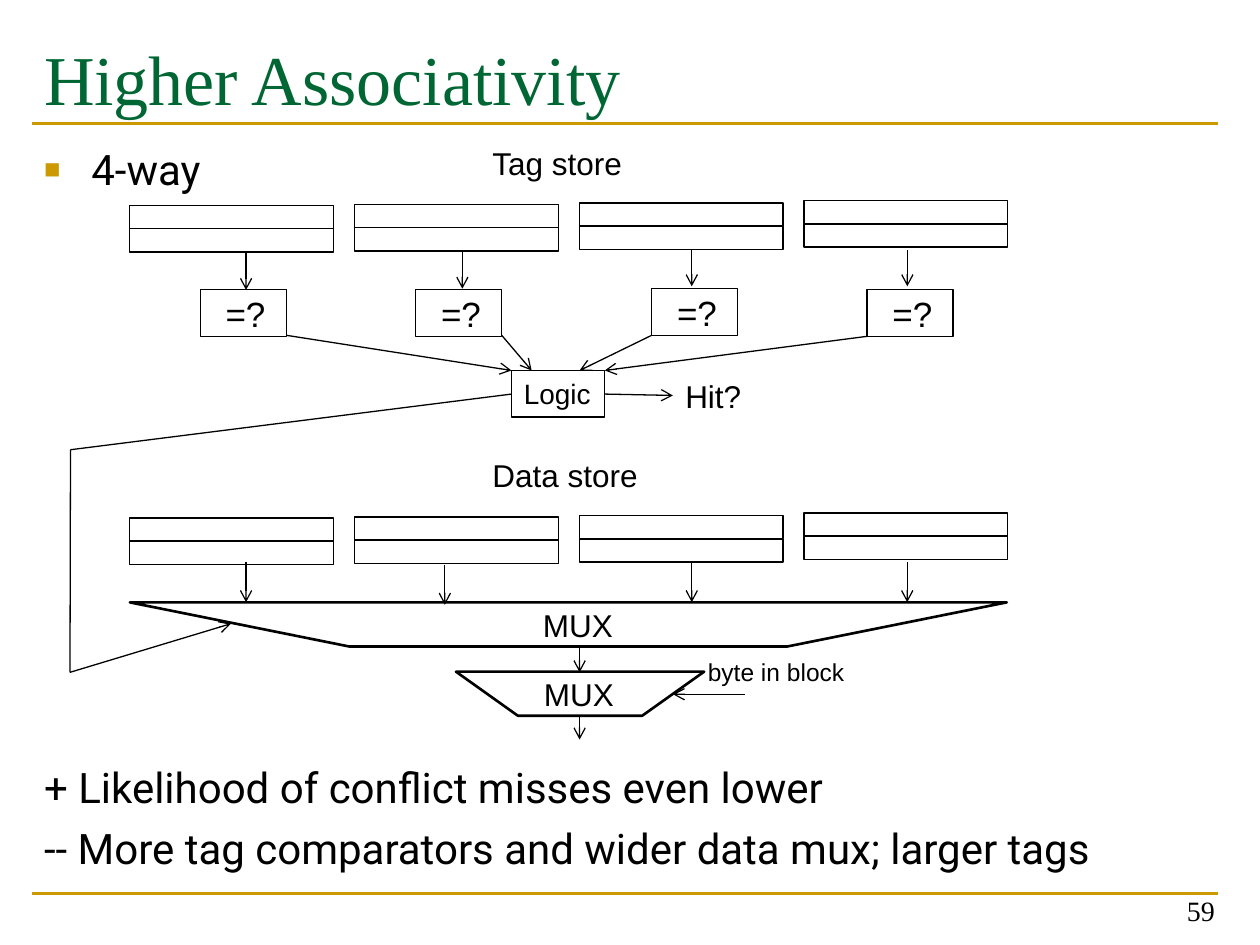
import pptx
import pptx.dml.color
import pptx.enum.shapes
import pptx.enum.text
import pptx.oxml.ns
import pptx.util
from lxml import etree

Pt = pptx.util.Pt
BLACK = pptx.dml.color.RGBColor(0x00, 0x00, 0x00)
GREEN = pptx.dml.color.RGBColor(0x00, 0x66, 0x33)
GOLD = pptx.dml.color.RGBColor(0xCC, 0x99, 0x00)

ANCHOR = pptx.enum.text.MSO_ANCHOR
ALIGN = pptx.enum.text.PP_ALIGN
NO_AUTOSIZE = pptx.enum.text.MSO_AUTO_SIZE.NONE


def set_attributes(target, values):
    for name, value in values.items():
        setattr(target, name, value)


def add_element(parent, tag, **attributes):
    return etree.SubElement(parent, pptx.oxml.ns.qn(tag), attributes)


class SlideBuilder:
    """Holds the style and the current slide; all lengths are in points."""

    title_font = {"name": "Times New Roman", "size": Pt(40)}
    body_font = {"name": "Roboto", "size": Pt(24)}
    number_font = {"name": "Times New Roman", "size": Pt(16)}
    label_font = {"name": "Arial"}
    thin, medium = 0.75, 1.5

    def __init__(self, slide):
        self.slide = slide

    def place(self, shape, left, top, width, height):
        set_attributes(shape, {"left": Pt(left), "top": Pt(top),
                               "width": Pt(width), "height": Pt(height)})

    def add_text(self, paragraph, text, font, color=BLACK):
        run = paragraph.add_run()
        run.text = text
        set_attributes(run.font, font)
        run.font.color.rgb = color

    def outline(self, shape, weight):
        shape.shadow.inherit = False
        shape.fill.background()
        shape.line.color.rgb = BLACK
        shape.line.width = Pt(weight)

    def title(self, text, *box):
        shape = self.slide.shapes.title
        self.place(shape, *box)
        set_attributes(shape.text_frame, {
            "vertical_anchor": ANCHOR.TOP, "margin_top": Pt(8),
            "auto_size": NO_AUTOSIZE})
        paragraph = shape.text_frame.paragraphs[0]
        paragraph.alignment = ALIGN.LEFT
        self.add_text(paragraph, text, self.title_font, GREEN)

    def body(self, items, *box):
        """Each item is (text, has bullet, space before)."""
        shape = self.slide.placeholders[1]
        self.place(shape, *box)
        frame = shape.text_frame
        set_attributes(frame, {"vertical_anchor": ANCHOR.TOP,
                               "auto_size": NO_AUTOSIZE})
        for index, (text, bullet, space) in enumerate(items):
            paragraph = frame.add_paragraph() if index else frame.paragraphs[0]
            set_attributes(paragraph, {"space_before": Pt(space),
                                       "alignment": ALIGN.LEFT})
            properties = paragraph._p.get_or_add_pPr()
            properties.set("marL", str(Pt(27)))
            properties.set("indent", str(-Pt(27)))
            if bullet:
                color = add_element(properties, "a:buClr")
                add_element(color, "a:srgbClr", val=str(GOLD))
                add_element(properties, "a:buSzPct", val="65000")
                add_element(properties, "a:buFont", typeface="Arial")
                add_element(properties, "a:buChar", char="■")
            else:
                add_element(properties, "a:buNone")
            self.add_text(paragraph, text, self.body_font)

    def label(self, text, size, *box):
        shape = self.slide.shapes.add_textbox(*map(Pt, box))
        shape.text_frame.word_wrap = False
        self.add_text(shape.text_frame.paragraphs[0], text,
                      {**self.label_font, "size": Pt(size)})

    def page_number(self, text, *box):
        shape = self.slide.shapes.add_textbox(*map(Pt, box))
        set_attributes(shape.text_frame, {"word_wrap": True,
                                          "vertical_anchor": ANCHOR.BOTTOM})
        paragraph = shape.text_frame.paragraphs[0]
        paragraph.alignment = ALIGN.RIGHT
        self.add_text(paragraph, text, self.number_font)

    def box(self, left, top, width, height, text=None, size=16):
        shape = self.slide.shapes.add_shape(
            pptx.enum.shapes.MSO_SHAPE.RECTANGLE,
            *map(Pt, (left, top, width, height)))
        self.outline(shape, self.thin)
        if text:
            set_attributes(shape.text_frame, {"word_wrap": False,
                                              "vertical_anchor": ANCHOR.TOP})
            paragraph = shape.text_frame.paragraphs[0]
            paragraph.alignment = ALIGN.LEFT
            self.add_text(paragraph, text, {**self.label_font, "size": Pt(size)})

    def mux(self, left, top, width, height, inset):
        """A trapezoid that narrows by inset on both sides."""
        right, bottom = left + width, top + height
        corners = [(right - inset, bottom), (left + inset, bottom), (left, top)]
        builder = self.slide.shapes.build_freeform(Pt(right), Pt(top))
        builder.add_line_segments([(Pt(x), Pt(y)) for x, y in corners], close=True)
        self.outline(builder.convert_to_shape(), self.medium)

    def line(self, start, end, arrow=True, color=BLACK, weight=thin):
        connector = self.slide.shapes.add_connector(
            pptx.enum.shapes.MSO_CONNECTOR.STRAIGHT, *map(Pt, (*start, *end)))
        connector.line.color.rgb = color
        connector.line.width = Pt(weight)
        properties = connector._element.spPr
        if arrow:
            outline = properties.find(pptx.oxml.ns.qn("a:ln"))
            add_element(outline, "a:tailEnd", type="arrow")
        add_element(properties, "a:effectLst")


def main():
    presentation = pptx.Presentation()
    set_attributes(presentation, {"slide_width": Pt(720), "slide_height": Pt(540)})
    slide = presentation.slides.add_slide(presentation.slide_layouts[1])
    builder = SlideBuilder(slide)

    # Rules, title, list and page number
    for y in (510.5, 70.7):
        builder.line((18, y), (696, y), arrow=False, color=GOLD,
                     weight=builder.medium)
    builder.title("Higher Associativity", 18, 12.2, 678, 84.2)
    builder.body([
        ("4-way", True, 0),
        ("+ Likelihood of conflict misses even lower", False, 324.5),
        ("-- More tag comparators and wider data mux; larger tags", False, 5.6),
    ], 18, 78.5, 678, 409)
    builder.page_number("59", 533.5, 497.5, 167.8, 36)

    # Tag store and data store: four ways of two entries each
    way_tops = (117.4, 116.8, 116, 114.6)
    for name, width, offset in (("Tag store", 89.3, 0), ("Data store", 97.9, 178.6)):
        builder.label(name, 18, 274.3, 78.5 + offset, width, 29)
        for way, top in enumerate(way_tops):
            for entry in range(2):
                builder.box(74.2 + 128.4 * way, top + offset + 13.4 * entry,
                            116.5, 13.2)

    # Comparators, each fed by its tag way
    for left, top, arrow_x, arrow_top in (
            (114.4, 165.6, 140.6, 144.7), (237.5, 165.6, 264.2, 144),
            (372.4, 165, 395.3, 142.6), (495.5, 165.6, 518.5, 142.6)):
        builder.box(left, top, 49.2, 26.6)
        builder.label("=?", 20, left + 7.4, top - 1.9, 37.4, 31.5)
        builder.line((arrow_x, arrow_top), (arrow_x, arrow_top + 21))

    # Hit logic
    builder.box(292.3, 211.7, 53.3, 26.6, "Logic")
    for start, end_x in (((163.6, 191.6), 292.3), ((286.7, 191.6), 303.8),
                         ((372.4, 191.6), 331.2), ((495.5, 192.2), 345.6)):
        builder.line(start, (end_x, 211.7))
    builder.line((345.6, 225.2), (384.5, 226))
    builder.label("Hit?", 18, 384.5, 211.7, 46.8, 29)

    # Way select route from the logic to the wide mux
    select_route = [(292.3, 225.2), (40.3, 257), (40, 384.2), (132, 356.4)]
    for index, start in enumerate(select_route[:-1]):
        builder.line(start, select_route[index + 1], arrow=index == 2)

    # Wide mux with one input per way
    builder.mux(74.2, 344.2, 501.1, 25.2, 125.3)
    builder.label("MUX", 18, 303.1, 342.7, 56.2, 29)
    for x, top in ((140.6, 321.1), (254.2, 322.6), (395.3, 321.1), (518.4, 321.1)):
        builder.line((x, top), (x, top + 23))

    # Byte mux
    builder.mux(260.6, 383.8, 141.8, 25.2, 35.4)
    builder.label("MUX", 18, 303.8, 382.3, 54.7, 29)
    builder.label("byte in block", 14, 397.4, 372.2, 92.9, 24.5)
    for start, end in (((331.2, 369.4), (331.2, 384.2)),
                       ((425.5, 396.7), (384.5, 396.7)),
                       ((331.2, 409), (331.2, 422.6))):
        builder.line(start, end)

    presentation.save("out.pptx")


if __name__ == "__main__":
    main()
